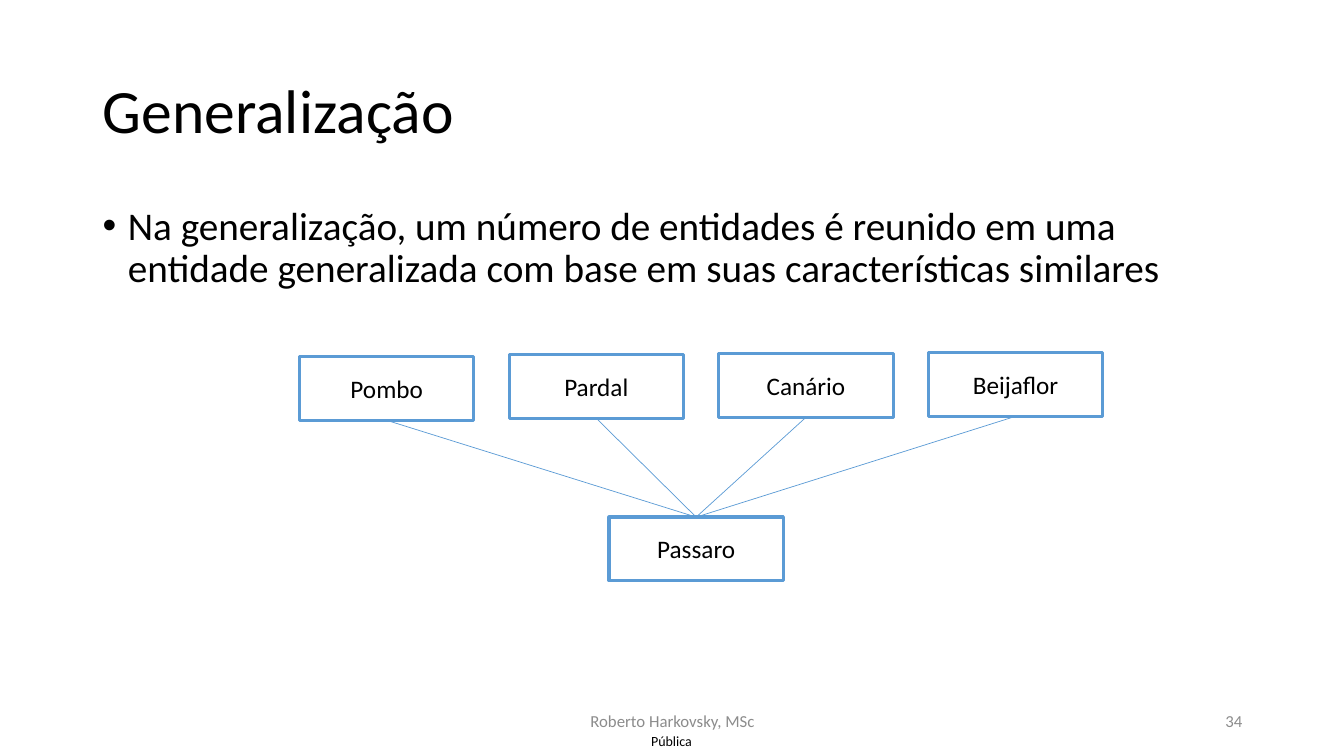
from dataclasses import dataclass

from lxml.etree import SubElement
from pptx import Presentation
from pptx.dml.color import RGBColor
from pptx.enum.shapes import MSO_CONNECTOR, MSO_SHAPE
from pptx.enum.text import MSO_ANCHOR as Anchor, MSO_AUTO_SIZE, PP_ALIGN as Align
from pptx.oxml.ns import qn
from pptx.util import Inches, Pt

FONT = "Calibri"
COLOURS = {"text": "000000", "muted": "8C8C8C", "box": "FFFFFF", "line": "5B9BD5"}
SLIDE_WIDTH, SLIDE_HEIGHT = Inches(13.33), Inches(7.5)


@dataclass(frozen=True)
class Area:
    """A rectangle in percent of the slide's width and height."""
    left: float
    top: float
    width: float
    height: float

    def emu(self) -> tuple[int, int, int, int]:
        return (int(SLIDE_WIDTH * self.left / 100), int(SLIDE_HEIGHT * self.top / 100),
                int(SLIDE_WIDTH * self.width / 100), int(SLIDE_HEIGHT * self.height / 100))


@dataclass(frozen=True)
class Label:
    text: str
    area: Area
    size: float
    align: Align = Align.CENTER
    anchor: Anchor = Anchor.MIDDLE
    colour: str = "text"
    margin: float | None = None


@dataclass(frozen=True)
class Entity:
    name: str
    left: float
    top: float


ENTITY_WIDTH, ENTITY_HEIGHT = 12.98, 8.4
FIRST_LEFT, PITCH = 22.28, 15.6
SPECIES_TOPS = {"Pombo": 47.2, "Pardal": 46.93, "Canário": 46.8, "Beijaflor": 46.67}
SPECIES = [Entity(name, FIRST_LEFT + column * PITCH, top)
           for column, (name, top) in enumerate(SPECIES_TOPS.items())]
BIRD = Entity("Passaro", 45.31, 68.4)

TITLE = Label("Generalização", Area(6.9, 5.33, 86.27, 19.33), 44, Align.LEFT)
DEFINITION = Label(
    "Na generalização, um número de entidades é reunido em uma entidade "
    "generalizada com base em suas características similares",
    Area(6.9, 26.67, 86.27, 14), 28, Align.LEFT, Anchor.TOP)
FOOTERS = [
    Label("Pública", Area(47.34, 96.13, 5.25, 3.87), 10, margin=0),
    Label("Roberto Harkovsky, MSc", Area(33.16, 92.67, 33.76, 5.33), 12, colour="muted"),
    Label("34", Area(70.67, 92.67, 22.51, 5.33), 12, Align.RIGHT, colour="muted"),
]


def rgb(name: str) -> RGBColor:
    return RGBColor.from_string(COLOURS[name])


def write(shape, label: Label):
    """Fill the shape with the label's formatted text and return the paragraph."""
    frame = shape.text_frame
    frame.text = label.text
    frame.word_wrap = True
    frame.auto_size = MSO_AUTO_SIZE.NONE
    frame.vertical_anchor = label.anchor
    if label.margin is not None:
        frame.margin_left = frame.margin_right = Inches(label.margin)
        frame.margin_top = frame.margin_bottom = Inches(label.margin)
    paragraph = frame.paragraphs[0]
    paragraph.alignment = label.align
    font = paragraph.runs[0].font
    font.name, font.size = FONT, Pt(label.size)
    font.color.rgb = rgb(label.colour)
    return paragraph


def add_title(slide) -> None:
    title = slide.shapes.title
    title.left, title.top, title.width, title.height = TITLE.area.emu()
    write(title, TITLE).line_spacing = 0.9


def add_text(slide, label: Label):
    return write(slide.shapes.add_textbox(*label.area.emu()), label)


def add_definition(slide) -> None:
    paragraph = add_text(slide, DEFINITION)
    paragraph.line_spacing = 0.9
    paragraph.space_before = Pt(10)
    properties = paragraph._p.get_or_add_pPr()
    properties.set("marL", str(Inches(0.25)))
    properties.set("indent", str(-Inches(0.25)))
    SubElement(properties, qn("a:buFont"), typeface="Arial")
    SubElement(properties, qn("a:buChar"), char="•")


def add_entity(slide, entity: Entity):
    area = Area(entity.left, entity.top, ENTITY_WIDTH, ENTITY_HEIGHT)
    box = slide.shapes.add_shape(MSO_SHAPE.RECTANGLE, *area.emu())
    box.shadow.inherit = False
    box.fill.solid()
    box.fill.fore_color.rgb = rgb("box")
    box.line.color.rgb = rgb("line")
    box.line.width = Pt(2.25)
    write(box, Label(entity.name, area, 18))
    return box


def join(slide, general, special) -> None:
    """Run a line from the top of the general entity to the bottom of the special one."""
    link = slide.shapes.add_connector(MSO_CONNECTOR.STRAIGHT, 0, 0, 0, 0)
    link.begin_connect(general, 0)
    link.end_connect(special, 2)
    link.line.color.rgb = rgb("line")
    link.line.width = Pt(0.5)
    SubElement(link._element.spPr, qn("a:effectLst"))


def main() -> None:
    deck = Presentation()
    deck.slide_width, deck.slide_height = SLIDE_WIDTH, SLIDE_HEIGHT
    slide = deck.slides.add_slide(deck.slide_layouts[5])
    add_title(slide)
    add_definition(slide)
    for footer in FOOTERS:
        add_text(slide, footer)
    bird = add_entity(slide, BIRD)
    for species in SPECIES:
        join(slide, bird, add_entity(slide, species))
    deck.save("out.pptx")


if __name__ == "__main__":
    main()
